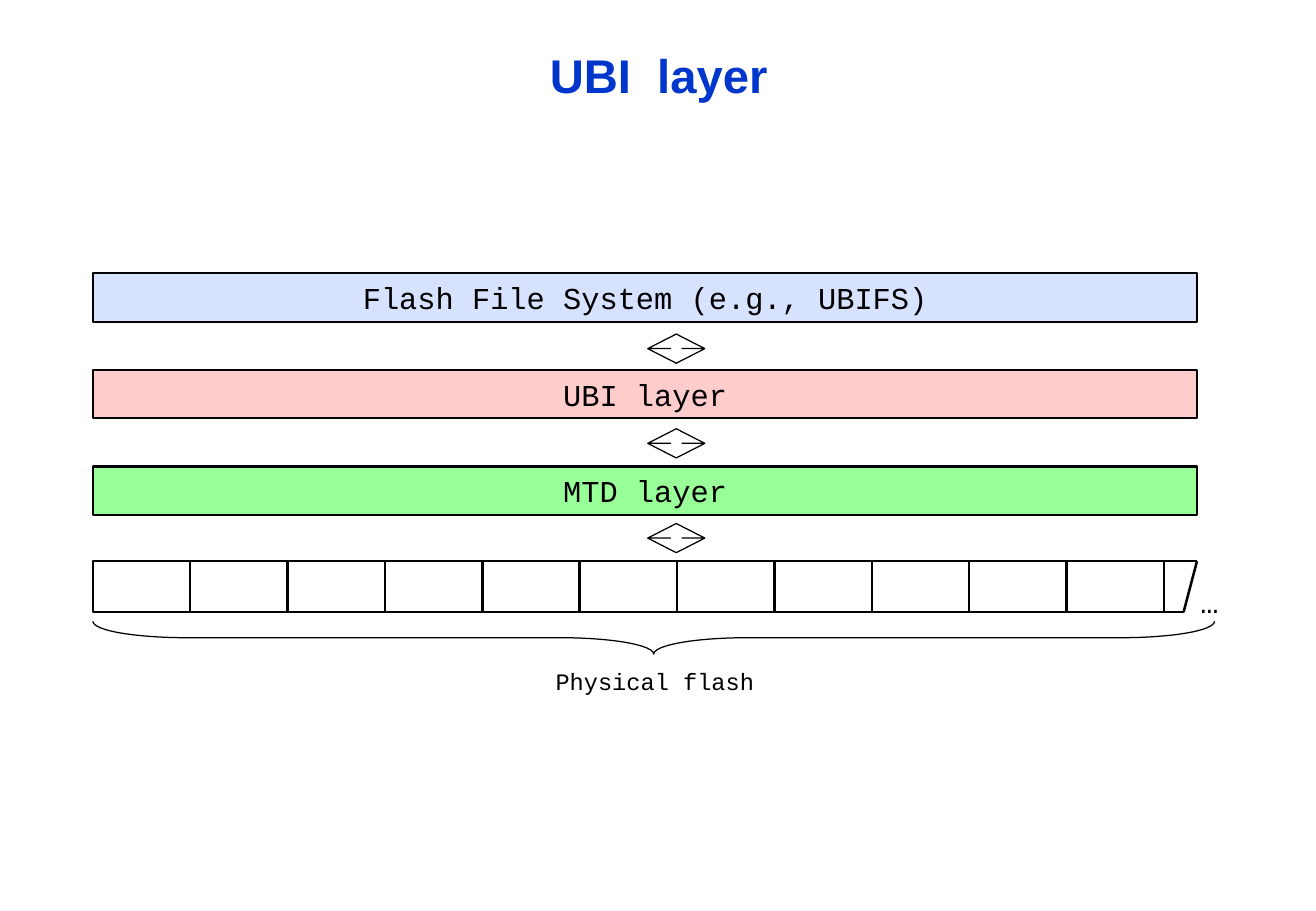
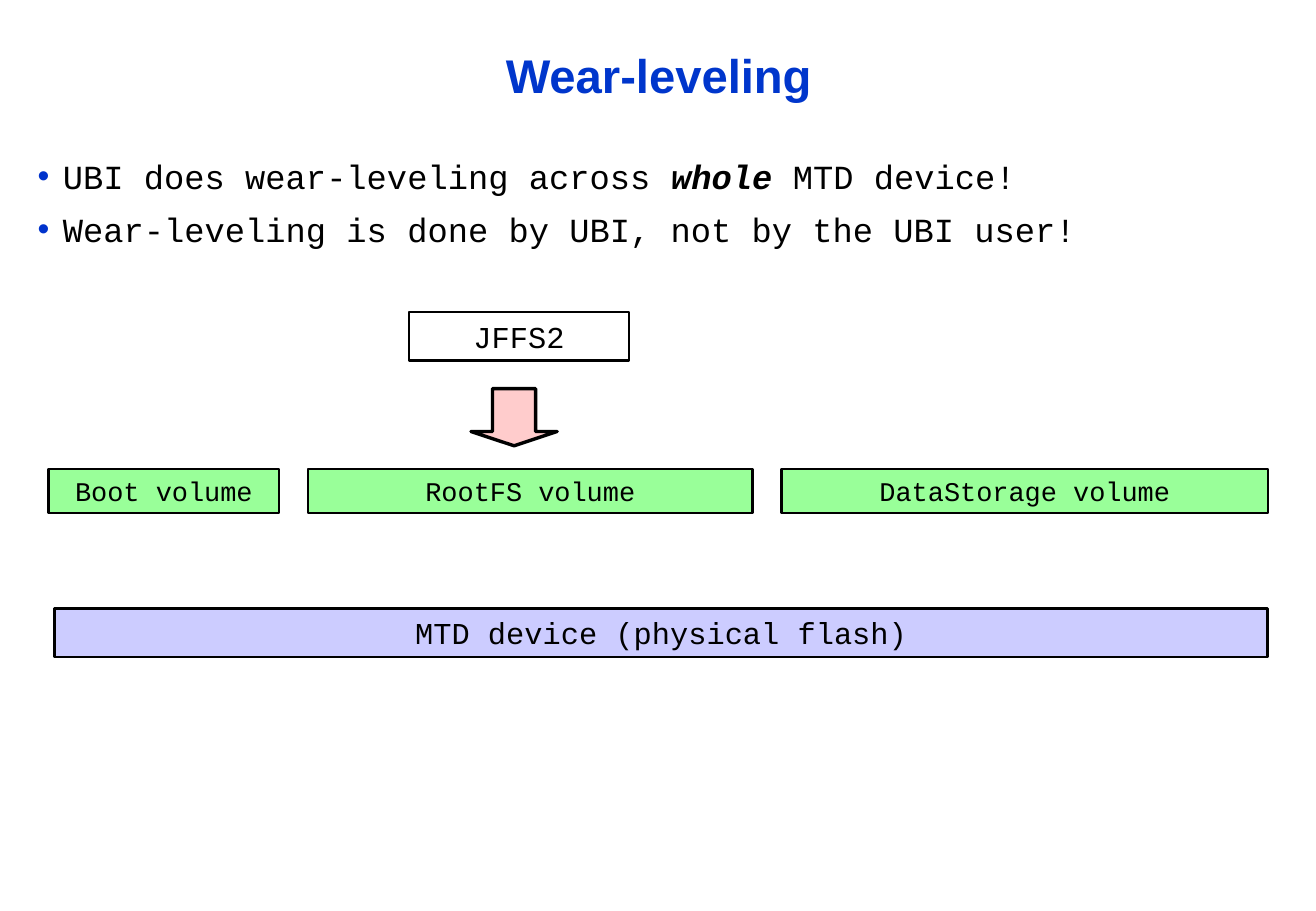
import dataclasses
import itertools

import lxml.etree
import pptx
import pptx.dml.color
import pptx.enum.shapes
import pptx.enum.text
import pptx.oxml.ns
import pptx.util

Pt = pptx.util.Pt
KIND = pptx.enum.shapes.MSO_SHAPE
ALIGN = pptx.enum.text.PP_ALIGN
ANCHOR = pptx.enum.text.MSO_ANCHOR
FIT = pptx.enum.text.MSO_AUTO_SIZE
RGB = pptx.dml.color.RGBColor.from_string
qn = pptx.oxml.ns.qn


@dataclasses.dataclass(frozen=True)
class Theme:
    ink: str = "000000"
    title: str = "0036CC"
    bullet: str = "0033CC"
    white: str = "FFFFFF"
    sky: str = "D7E2FF"
    rose: str = "FFCCCC"
    green: str = "99FF99"
    lilac: str = "CCCCFF"
    head: str = "Arial"
    mono: str = "Courier New"
    big: int = 28
    list: int = 20
    text: int = 18
    small: int = 16
    note: int = 14


theme = Theme()
deck = pptx.Presentation()
deck.slide_width = pptx.util.Inches(10.84)
deck.slide_height = pptx.util.Inches(7.5)
# The grid has 100 columns and 100 rows.
COL = deck.slide_width / 100
ROW = deck.slide_height / 100


def write(shape, *lines, size=theme.text, font=theme.mono, color=theme.ink,
          bold=False, align=ALIGN.CENTER, anchor=ANCHOR.MIDDLE, wrap=True, gap=0):
    """Fill a shape with lines; words between asterisks are bold italic."""
    frame = shape.text_frame
    frame.word_wrap = wrap
    frame.auto_size = FIT.NONE
    frame.vertical_anchor = anchor
    for row, line in enumerate(lines):
        para = frame.add_paragraph() if row else frame.paragraphs[0]
        para.alignment = align
        para.space_before = para.space_after = Pt(gap)
        for part, words in enumerate(line.split("*")):
            run = para.add_run()
            run.text = words
            run.font.size, run.font.name = Pt(size), font
            run.font.color.rgb = RGB(color)
            run.font.bold = bold or part % 2 == 1
            run.font.italic = part % 2 == 1


def draw(slide, kind, x, y, w, h, fill=None, line=1.5):
    """Add a preset shape, placed in columns and rows."""
    shape = slide.shapes.add_shape(
        kind, *(round(n) for n in (x * COL, y * ROW, w * COL, h * ROW)))
    shape.shadow.inherit = False
    if fill:
        shape.fill.solid()
        shape.fill.fore_color.rgb = RGB(fill)
    else:
        shape.fill.background()
    shape.line.color.rgb = RGB(theme.ink)
    shape.line.width = Pt(line)
    return shape


# Both slides: title, and the place of the list
slides = []
for title, layout in (("UBI  layer", 5), ("Wear-leveling", 1)):
    slide = deck.slides.add_slide(deck.slide_layouts[layout])
    for holder, top, high in zip(slide.placeholders, (0, 16.4), (16.4, 13.6)):
        holder.left, holder.width = round(1.94 * COL), round(96.22 * COL)
        holder.top, holder.height = round(top * ROW), round(high * ROW)
    write(slide.shapes.title, title, size=theme.big, font=theme.head,
          color=theme.title, bold=True)
    slides.append(slide)
stack, wear = slides

# Slide 1: layers, with an arrow below each
LEFT, BAR = 7.05, 5.33
layers = (("Flash File System (e.g., UBIFS)", theme.sky),
          ("UBI layer", theme.rose),
          ("MTD layer", theme.green))
for step, (name, fill) in enumerate(layers):
    write(draw(stack, KIND.RECTANGLE, LEFT, 30 + 10.6 * step, 83.95, BAR, fill, 1.25), name)
    arrow = draw(stack, KIND.UP_DOWN_ARROW, 49.22, 36.67 + 10.4 * step, 4.34, 3.2,
                 theme.white, 0.75)
    arrow.adjustments[0], arrow.adjustments[1] = 0.5, 0.2

# Slide 1: flash blocks, the last one cut off
TOP, HIGH, WIDE = 61.6, 5.6, 7.4
for block in range(11):
    draw(stack, KIND.RECTANGLE, LEFT + WIDE * block, TOP, WIDE, HIGH)
edge = ((87.92, TOP), (90.96, TOP), (89.94, TOP + HIGH), (87.92, TOP + HIGH))
for (x1, y1), (x2, y2) in itertools.pairwise(edge):
    side = stack.shapes.add_connector(
        pptx.enum.shapes.MSO_CONNECTOR.STRAIGHT,
        *(round(n) for n in (x1 * COL, y1 * ROW, x2 * COL, y2 * ROW)))
    side.line.color.rgb = RGB(theme.ink)
    side.line.width = Pt(1.5)
    lxml.etree.SubElement(side._element.spPr, qn("a:effectLst"))

brace = draw(stack, KIND.LEFT_BRACE, 48.43, 8.4, 2.49, 123.2, line=0.75)
brace.rotation = 270
brace.adjustments[0] = 2.85
for words, x, y, w, h, look in (
        ("…", 90.31, 63.33, 3.7, 5.33,
         dict(align=ALIGN.LEFT, anchor=ANCHOR.TOP, wrap=False)),
        ("Physical flash", 41.24, 72.53, 17.07, 4.4, dict(size=theme.note))):
    label = stack.shapes.add_textbox(
        *(round(n) for n in (x * COL, y * ROW, w * COL, h * ROW)))
    write(label, words, **look)

# Slide 2: list
body = wear.placeholders[1]
write(body, "UBI does wear-leveling across *whole* MTD device!",
      "Wear-leveling is done by UBI, not by the UBI user!",
      size=theme.list, align=ALIGN.LEFT, anchor=ANCHOR.TOP, gap=3.7)
for para in body.text_frame.paragraphs:
    props = para._p.get_or_add_pPr()
    props.set("marL", str(Pt(15)))
    props.set("indent", str(-Pt(15)))
    tint = lxml.etree.SubElement(props, qn("a:buClr"))
    lxml.etree.SubElement(tint, qn("a:srgbClr"), val=theme.bullet)

# Slide 2: file system, volumes and device
write(draw(wear, KIND.RECTANGLE, 31.09, 34.27, 16.7, BAR), "JFFS2")
arrow = draw(wear, KIND.DOWN_ARROW, 35.79, 42.67, 6.55, 6.27, theme.rose, 2)
arrow.adjustments[0], arrow.adjustments[1] = 0.5, 0.25
left = 3.69
for name, wide in (("Boot", 17.53), ("RootFS", 33.76), ("DataStorage", 36.99)):
    write(draw(wear, KIND.RECTANGLE, left, 51.5, wide, 4.8, theme.green),
          name + " volume", size=theme.small)
    left += wide + 2.2
write(draw(wear, KIND.RECTANGLE, 4.15, 66.8, 92.16, BAR, theme.lilac),
      "MTD device (physical flash)")

deck.save("out.pptx")
